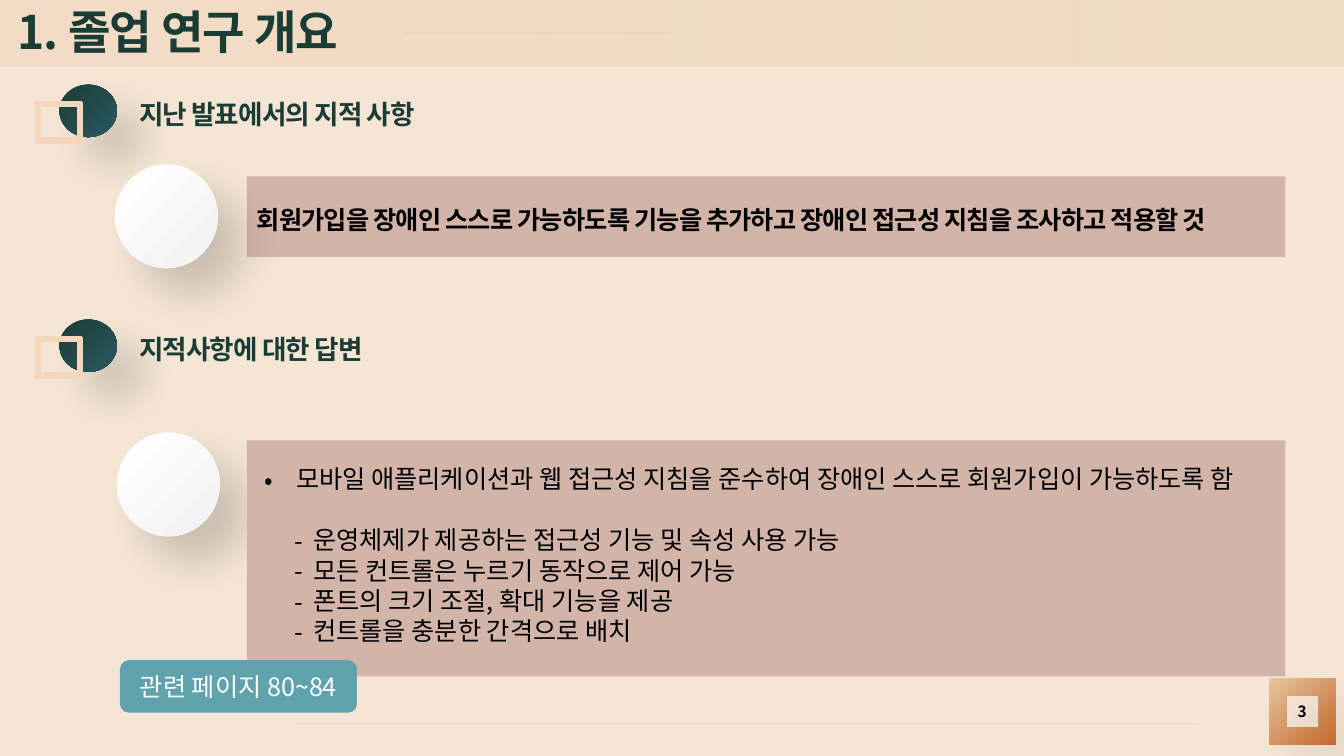
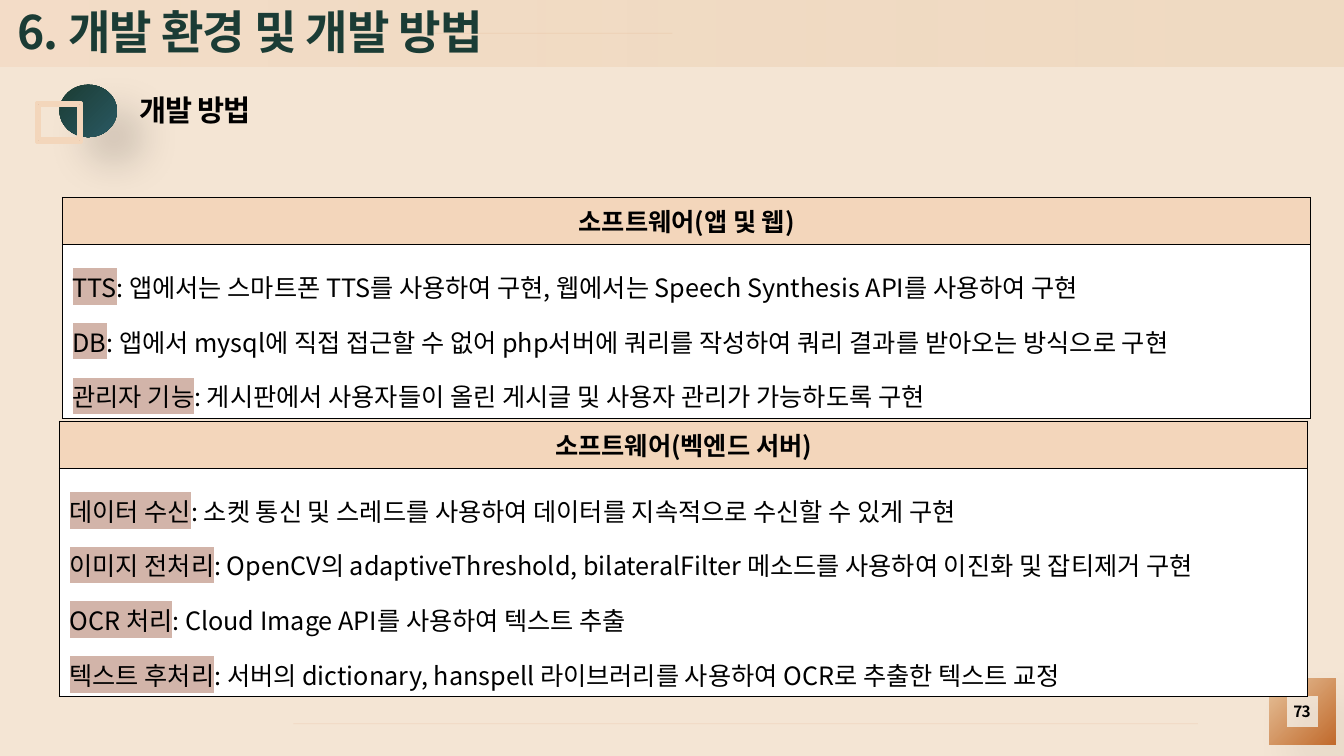
"""Build two slides of a graduation project talk: feedback answers and development method."""
from lxml import etree
from pptx import Presentation
from pptx.dml.color import RGBColor
from pptx.enum.shapes import MSO_CONNECTOR, MSO_SHAPE
from pptx.enum.text import MSO_ANCHOR, PP_ALIGN
from pptx.oxml.ns import qn
from pptx.util import Inches, Pt

RECT, ROUND = MSO_SHAPE.RECTANGLE, MSO_SHAPE.ROUNDED_RECTANGLE
OVAL, FRAME = MSO_SHAPE.OVAL, MSO_SHAPE.FRAME
LEFT, CENTER = PP_ALIGN.LEFT, PP_ALIGN.CENTER
TOP, MIDDLE = MSO_ANCHOR.TOP, MSO_ANCHOR.MIDDLE

FONT = "Noto Sans CJK KR"
BLACK = RGBColor(0x00, 0x00, 0x00)
WHITE = RGBColor(0xFF, 0xFF, 0xFF)
PALE_GRAY = RGBColor(0xF2, 0xF2, 0xF2)
CREAM = RGBColor(0xF4, 0xE5, 0xD4)
SAND = RGBColor(0xE7, 0xC4, 0x9D)
PEACH = RGBColor(0xF3, 0xD5, 0xBB)
HEADER = RGBColor(0xF3, 0xD6, 0xBB)
FRAME_FILL = RGBColor(0xE4, 0xC2, 0xA9)
RUST = RGBColor(0xC1, 0x6A, 0x2C)
RULE = RGBColor(0xE3, 0xAB, 0x83)
ROSE = RGBColor(0xD2, 0xB4, 0xA9)
TEAL = RGBColor(0x60, 0xA2, 0xAD)
INK = RGBColor(0x1B, 0x3C, 0x35)
DARK_GREEN = RGBColor(0x1B, 0x3C, 0x33)
DARK_BLUE = RGBColor(0x2A, 0x59, 0x63)

PLAIN = {"size": Pt(18), "bold": False, "color": BLACK}
STRONG = {**PLAIN, "bold": True}
LIGHT = {**PLAIN, "color": WHITE}
TITLE = {"size": Pt(33), "bold": True, "color": INK}
SECTION = {**TITLE, "size": Pt(19)}
METHOD = {**STRONG, "size": Pt(21)}
NUMBER = {**STRONG, "size": Pt(11)}
TIGHT = -60

RULES = [(4.01, 6.67, 0.33), (2.91, 11.88, 7.18)]
SECTIONS = [(0.84, "지난 발표에서의 지적 사항"), (3.17, "지적사항에 대한 답변")]
CIRCLES = [(1.14, 1.63), (1.16, 4.29)]
FEEDBACK = "회원가입을 장애인 스스로 가능하도록 기능을 추가하고 장애인 접근성 지침을 조사하고 적용할 것"
ANSWER = "모바일 애플리케이션과 웹 접근성 지침을 준수하여 장애인 스스로 회원가입이 가능하도록 함"
ANSWER_DETAILS = [
    "운영체제가 제공하는 접근성 기능 및 속성 사용 가능",
    "모든 컨트롤은 누르기 동작으로 제어 가능",
    "폰트의 크기 조절, 확대 기능을 제공",
    "컨트롤을 충분한 간격으로 배치",
]
SOFTWARE = [
    (0.62, 1.96, "소프트웨어(앱 및 웹)", [
        ("TTS", "앱에서는 스마트폰 TTS를 사용하여 구현, 웹에서는 Speech Synthesis API를 사용하여 구현"),
        ("DB", "앱에서 mysql에 직접 접근할 수 없어 php서버에 쿼리를 작성하여 쿼리 결과를 받아오는 방식으로 구현"),
        ("관리자 기능", "게시판에서 사용자들이 올린 게시글 및 사용자 관리가 가능하도록 구현"),
    ]),
    (0.59, 4.18, "소프트웨어(벡엔드 서버)", [
        ("데이터 수신", "소켓 통신 및 스레드를 사용하여 데이터를 지속적으로 수신할 수 있게 구현"),
        ("이미지 전처리", "OpenCV의 adaptiveThreshold, bilateralFilter 메소드를 사용하여 이진화 및 잡티제거 구현"),
        ("OCR 처리", "Cloud Image API를 사용하여 텍스트 추출"),
        ("텍스트 후처리", "서버의 dictionary, hanspell 라이브러리를 사용하여 OCR로 추출한 텍스트 교정"),
    ]),
]


def add_element(parent, tag, **values):
    element = etree.SubElement(parent, qn(tag))
    for name, value in values.items():
        element.set(name, str(value))
    return element


def set_opacity(element, *percents):
    for color, percent in zip(element.iter(qn("a:srgbClr")), percents):
        add_element(color, "a:alpha", val=percent * 1000)


def add_span(para, text, style, spacing=0, highlight=None):
    span = para.add_run()
    span.text = text
    for name, value in style.items():
        if name == "color":
            span.font.color.rgb = value
        else:
            setattr(span.font, name, value)
    span.font.name = FONT
    properties = span.font._element
    latin = properties.find(qn("a:latin"))
    east_asian = etree.Element(qn("a:ea"))
    east_asian.set("typeface", FONT)
    latin.addnext(east_asian)
    if spacing:
        properties.set("spc", str(spacing))
    if highlight is not None:
        marker = etree.Element(qn("a:highlight"))
        add_element(marker, "a:srgbClr", val=highlight)
        latin.addprevious(marker)


def set_frame(frame, anchor=MIDDLE, inset=None):
    frame.word_wrap = True
    frame.vertical_anchor = anchor
    if inset is not None:
        for side in ("left", "top", "right", "bottom"):
            setattr(frame, f"margin_{side}", inset)


def write(shape, text, style, align=LEFT, spacing=0, inset=None):
    set_frame(shape.text_frame, inset=inset)
    para = shape.text_frame.paragraphs[0]
    para.alignment = align
    add_span(para, text, style, spacing)
    return para


def add_label(page, place, text, style, align=LEFT):
    box = page.shapes.add_textbox(*map(Inches, place))
    write(box, text, style, align, TIGHT, inset=0)


def add_figure(page, kind, place, colors, angle=315, shadow=None):
    shape = page.shapes.add_shape(kind, *map(Inches, place))
    shape.shadow.inherit = False
    shape.line.fill.background()
    if len(colors) == 1:
        shape.fill.solid()
        shape.fill.fore_color.rgb = colors[0]
    else:
        shape.fill.gradient()
        shape.fill.gradient_angle = angle
        for stop, color in zip(shape.fill.gradient_stops, colors):
            stop.color.rgb = color
    if shadow:
        effects = shape.element.spPr.find(qn("a:effectLst"))
        outer = add_element(effects, "a:outerShdw", blurRad=Pt(30), dist=Pt(26),
                            dir=45 * 60000, algn="tl", rotWithShape=0)
        color = add_element(outer, "a:srgbClr", val=BLACK)
        add_element(color, "a:alpha", val=shadow * 1000)
    return shape


def add_page(deck, title, number):
    page = deck.slides.add_slide(deck.slide_layouts[6])
    band = add_figure(page, RECT, (0, 0, 13.33, 0.66), (SAND, PEACH), angle=180)
    set_opacity(band.element.spPr, 31, 50)
    for start, end, top in RULES:
        rule = page.shapes.add_connector(
            MSO_CONNECTOR.STRAIGHT, *map(Inches, (start, top, end, top)))
        rule.line.color.rgb = RULE
        rule.line.width = Pt(0.5)
        set_opacity(rule.element.spPr, 24)
        add_element(rule.element.spPr, "a:effectLst")
    corner = add_figure(page, FRAME, (12.59, 6.73, 0.66, 0.66), (SAND, RUST), shadow=8)
    corner.adjustments[0] = 0.265
    add_label(page, (0.17, 0, 8.54, 0.62), title, TITLE)
    add_label(page, (12.6, 6.95, 0.63, 0.22), number, NUMBER, CENTER)
    return page


def add_section(page, top, text, style, shift=0):
    add_figure(page, OVAL, (0.59, top, 0.57, 0.52), (DARK_GREEN, DARK_BLUE), shadow=17)
    square = add_figure(page, FRAME, (0.36, top + 0.18, 0.45, 0.39), (FRAME_FILL,))
    square.adjustments[0] = 0.078
    square.line.color.rgb = HEADER
    square.line.width = Pt(2.25)
    add_label(page, (1.38, top - 0.02 + shift, 6.57, 0.62), text, style)


def add_bullet(para, mark, margin, hang):
    properties = para._p.get_or_add_pPr()
    properties.set("marL", str(Inches(margin)))
    properties.set("indent", str(-Inches(hang)))
    add_element(properties, "a:buFont", typeface=FONT)
    add_element(properties, "a:buChar", char=mark)


def add_answer(page):
    add_figure(page, RECT, (2.45, 4.37, 10.3, 2.34), (ROSE,))
    frame = page.shapes.add_textbox(*map(Inches, (2.53, 4.55, 10.23, 1.92))).text_frame
    set_frame(frame, TOP)
    para = frame.paragraphs[0]
    add_bullet(para, "•", 0.31, 0.31)
    add_span(para, ANSWER, PLAIN)
    for index, detail in enumerate(ANSWER_DETAILS):
        para = frame.add_paragraph()
        add_bullet(para, "-", 0.48, 0.19)
        if index == 0:
            para.space_before = Pt(22)
        add_span(para, detail, PLAIN)


def style_cell(cell, color):
    properties = cell._tc.get_or_add_tcPr()
    for side in ("a:lnL", "a:lnR", "a:lnT", "a:lnB"):
        border = add_element(properties, side, w=Pt(1))
        add_element(add_element(border, "a:solidFill"), "a:srgbClr", val=BLACK)
    cell.fill.solid()
    cell.fill.fore_color.rgb = color


def add_software(page, left, top, heading, items):
    heights = (0.47, 0.1 + 0.54 * len(items))
    place = (left, top, 12.38, sum(heights))
    table = page.shapes.add_table(2, 1, *map(Inches, place)).table
    table.first_row = table.horz_banding = False
    for row, height in zip(table.rows, heights):
        row.height = Inches(height)
    head, body = table.cell(0, 0), table.cell(1, 0)
    style_cell(head, HEADER)
    style_cell(body, WHITE)
    para = head.text_frame.paragraphs[0]
    para.alignment = CENTER
    add_span(para, heading, STRONG)
    for index, (term, detail) in enumerate(items):
        para = body.text_frame.add_paragraph() if index else body.text_frame.paragraphs[0]
        para.line_spacing = 1.5
        add_span(para, term, PLAIN, highlight=ROSE)
        add_span(para, f": {detail}", PLAIN)


def build_overview(deck):
    page = add_page(deck, "1. 졸업 연구 개요", "3")
    feedback = add_figure(page, RECT, (2.45, 1.75, 10.3, 0.8), (ROSE,))
    write(feedback, FEEDBACK, STRONG, spacing=TIGHT).line_spacing = 1.2
    for top, text in SECTIONS:
        add_section(page, top, text, SECTION)
    for left, top in CIRCLES:
        add_figure(page, OVAL, (left, top, 1.02, 1.03), (WHITE, PALE_GRAY), shadow=17)
    add_answer(page)
    related = add_figure(page, ROUND, (1.19, 6.55, 2.35, 0.52), (TEAL,))
    write(related, "관련 페이지 80~84", LIGHT, CENTER)


def build_method(deck):
    page = add_page(deck, "6. 개발 환경 및 개발 방법", "73")
    add_section(page, 0.84, "개발 방법", METHOD, shift=-0.04)
    for table in SOFTWARE:
        add_software(page, *table)


def main():
    deck = Presentation()
    deck.slide_width, deck.slide_height = Inches(13.33), Inches(7.5)
    background = deck.slide_master.background.fill
    background.solid()
    background.fore_color.rgb = CREAM
    build_overview(deck)
    build_method(deck)
    deck.save("out.pptx")


if __name__ == "__main__":
    main()
